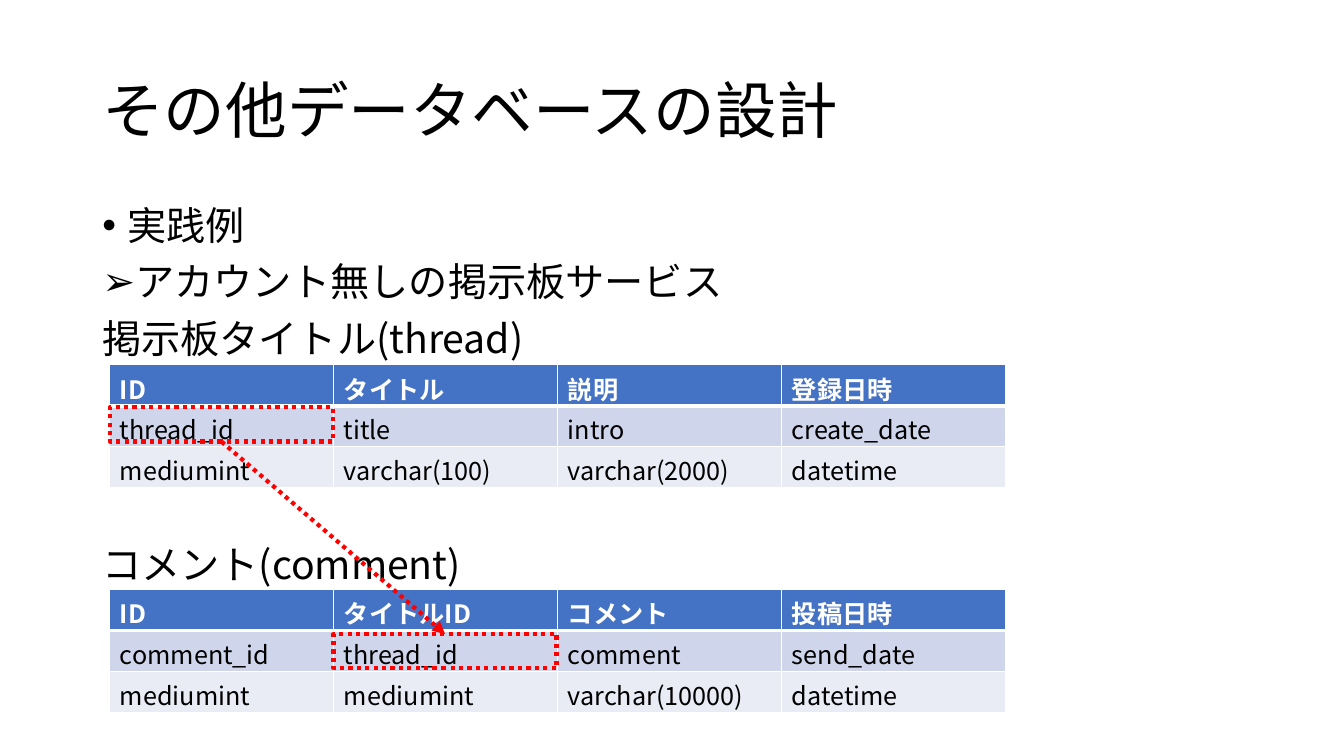
"""Build the slide on database design for a bulletin board."""
from lxml import etree
from pptx import Presentation
from pptx.dml.color import RGBColor
from pptx.enum.dml import MSO_LINE
from pptx.enum.shapes import MSO_CONNECTOR, MSO_SHAPE
from pptx.enum.text import MSO_ANCHOR
from pptx.oxml.ns import qn
from pptx.util import Pt

RECT = MSO_SHAPE.RECTANGLE
STRAIGHT = MSO_CONNECTOR.STRAIGHT
DOTTED = MSO_LINE.ROUND_DOT
MIDDLE, TOP = MSO_ANCHOR.MIDDLE, MSO_ANCHOR.TOP
FONT = "Noto Sans CJK JP"
COLORS = {"text": "000000", "white": "FFFFFF", "header": "4472C4",
          "band1": "CFD5EA", "band2": "E9EBF5", "key": "FF0000"}
COL_W, ROW_H, TABLE_X = 160, 29.2, 78.5
KEY_W, KEY_H = 159.3, 24.5


def write(p, text, size, color="text", bold=False):
    r = p.add_run()
    r.text = text
    for name, value in {"name": FONT, "size": Pt(size), "bold": bold}.items():
        setattr(r.font, name, value)
    r.font.color.rgb = RGBColor.from_string(COLORS[color])
    etree.SubElement(r.font._element, qn("a:ea"), typeface=FONT)


def add_text(s, box, anchor, size, lines):
    tf = s.shapes.add_textbox(*map(Pt, box)).text_frame
    tf.word_wrap = True
    tf.vertical_anchor = anchor
    for i, (bullet, text) in enumerate(lines):
        p = tf.paragraphs[0] if i == 0 else tf.add_paragraph()
        if bullet:
            pPr = p._p.get_or_add_pPr()
            pPr.set("marL", str(Pt(18)))
            pPr.set("indent", str(Pt(-18)))
            etree.SubElement(pPr, qn("a:buFont"), typeface="Arial")
            etree.SubElement(pPr, qn("a:buChar"), char=bullet)
        p.line_spacing = 0.9
        p.space_before = Pt(10 if i else 0)
        write(p, text, size)


prs = Presentation()
prs.slide_width, prs.slide_height = Pt(960), Pt(540)
s = prs.slides.add_slide(prs.slide_layouts[6])

add_text(s, (66, 28.8, 828, 104.4), MIDDLE, 44, [(None, "その他データベースの設計")])
add_text(s, (66, 144, 828, 120), TOP, 28, [
    ("•", "実践例"),
    ("➢", "アカウント無しの掲示板サービス"),
    (None, "掲示板タイトル(thread)"),
])
add_text(s, (66, 386, 828, 40), TOP, 28, [(None, "コメント(comment)")])

tables = [
    (260.6, [["ID", "タイトル", "説明", "登録日時"],
             ["thread_id", "title", "intro", "create_date"],
             ["mediumint", "varchar(100)", "varchar(2000)", "datetime"]]),
    (421.2, [["ID", "タイトルID", "コメント", "投稿日時"],
             ["comment_id", "thread_id", "comment", "send_date"],
             ["mediumint", "mediumint", "varchar(10000)", "datetime"]]),
]
for top, rows in tables:
    table = s.shapes.add_table(3, 4, Pt(TABLE_X), Pt(top), Pt(4 * COL_W), Pt(3 * ROW_H)).table
    for i, row in enumerate(rows):
        header = i == 0
        for j, text in enumerate(row):
            cell = table.cell(i, j)
            tcPr = cell._tc.get_or_add_tcPr()
            for side in "LRTB":
                thick = (header and side == "B") or (i == 1 and side == "T")
                ln = etree.SubElement(tcPr, qn("a:ln" + side), w=str(Pt(3 if thick else 1)))
                fill = etree.SubElement(ln, qn("a:solidFill"))
                etree.SubElement(fill, qn("a:srgbClr"), val=COLORS["white"])
            cell.fill.solid()
            cell.fill.fore_color.rgb = RGBColor.from_string(COLORS[("header", "band1", "band2")[i]])
            write(cell.text_frame.paragraphs[0], text, 18, "white" if header else "text", header)

keys = []
for left, top in [(TABLE_X, 290.9), (238.3, 452.9)]:
    sp = s.shapes.add_shape(RECT, Pt(left), Pt(top), Pt(KEY_W), Pt(KEY_H))
    sp.shadow.inherit = False
    sp.fill.background()
    keys.append(sp)

link = s.shapes.add_connector(STRAIGHT, 0, 0, 0, 0)
link.begin_connect(keys[0], 2)
link.end_connect(keys[1], 0)
for sp in [*keys, link]:
    sp.line.color.rgb = RGBColor.from_string(COLORS["key"])
    sp.line.width = Pt(3)
    sp.line.dash_style = DOTTED
etree.SubElement(link.line._get_or_add_ln(), qn("a:tailEnd"), type="triangle")
etree.SubElement(link._element.spPr, qn("a:effectLst"))

prs.save("out.pptx")
